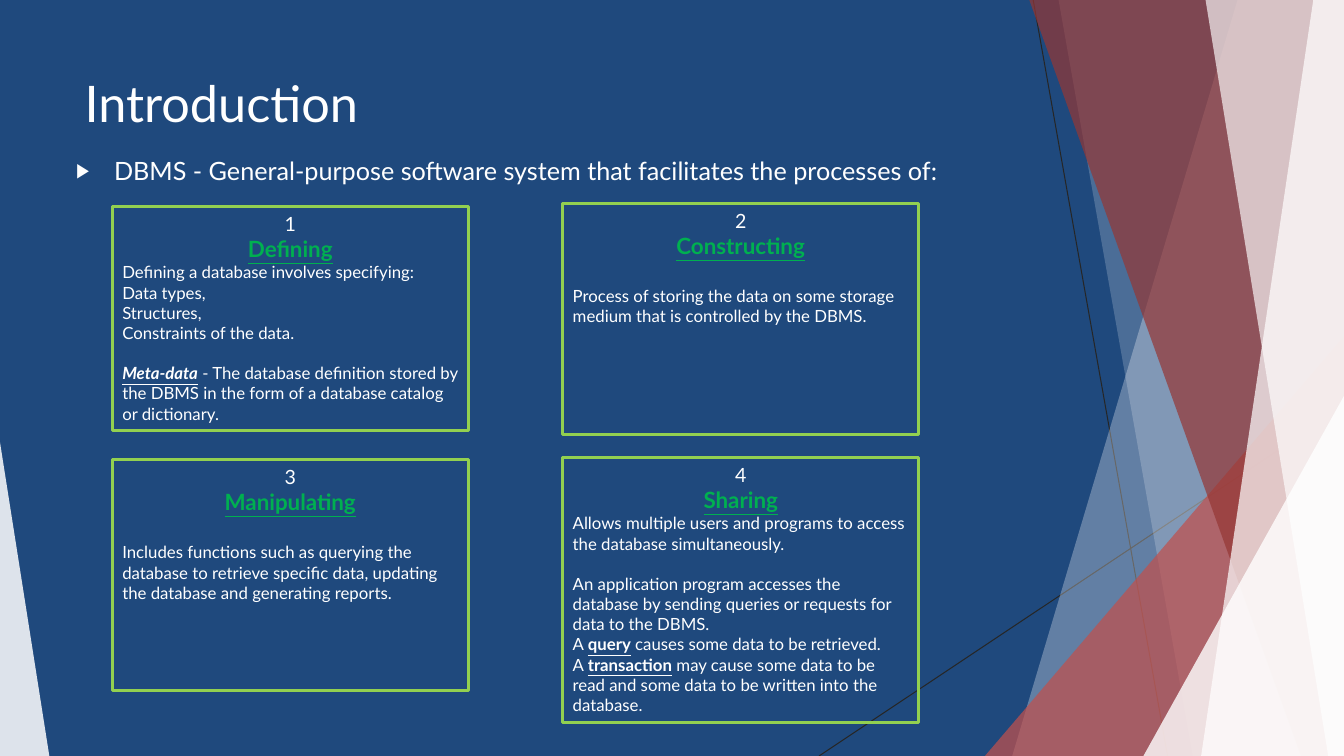
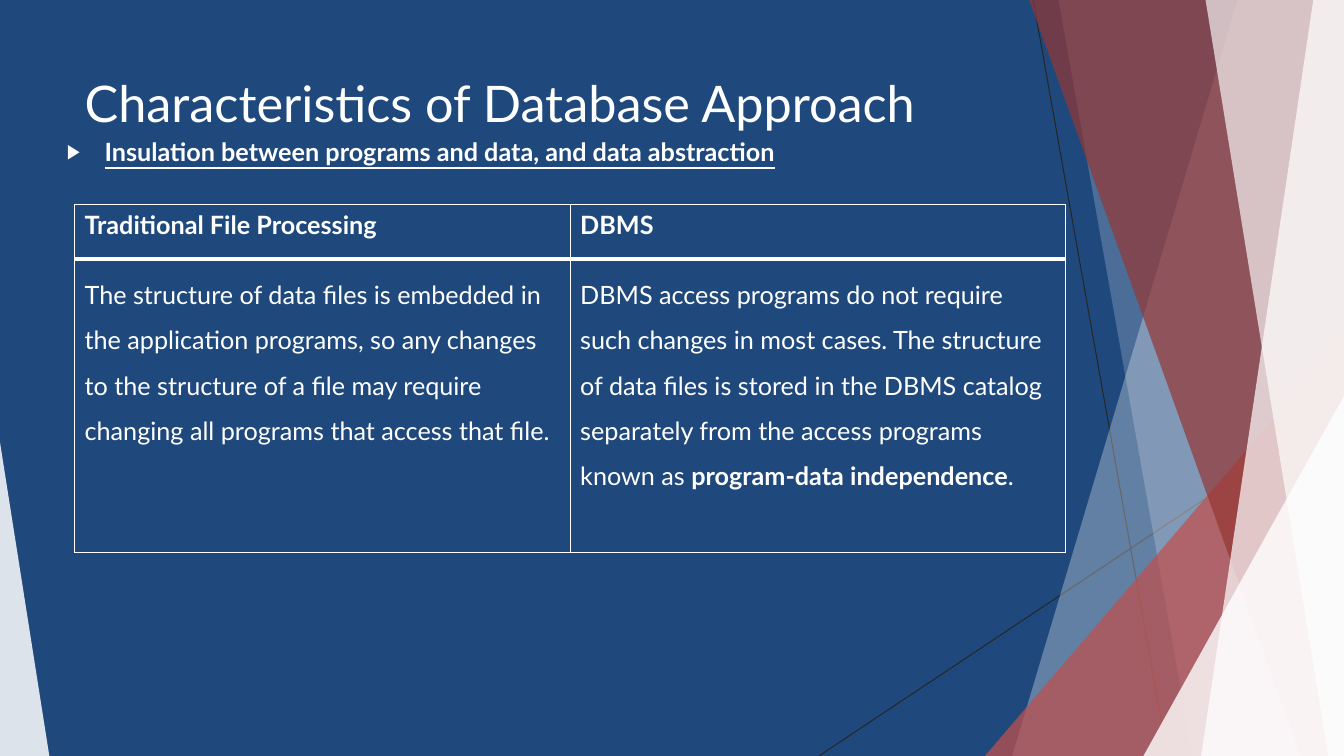
"""Builds two slides on database systems over a shared faceted background."""
import pptx
import pptx.dml.color
import pptx.enum.shapes
import pptx.enum.text
import pptx.oxml
import pptx.oxml.ns
import pptx.util

RGBColor = pptx.dml.color.RGBColor
NAVY = RGBColor(0x1F, 0x49, 0x7D)
WHITE = RGBColor(0xFF, 0xFF, 0xFF)
CHARCOAL = RGBColor(0x26, 0x26, 0x26)
RED = RGBColor(0xC0, 0x50, 0x4D)
MAROON = RGBColor(0x95, 0x37, 0x35)
LIME = RGBColor(0x92, 0xD0, 0x50)
GREEN = RGBColor(0x00, 0xB0, 0x50)

FONT = "Lato"
PX = 9525
WIDTH, HEIGHT = 1280, 720

RAYS = [(984, 0, 1112, 720), (1280, 387, 780, 720)]
FACETS = [
    ("band", (1179, 964), WHITE, 30),
    ("band", (1008, 1136), WHITE, 20),
    ("triangle", (938, 320, 342, 400, 1), RED, 72),
    ("band", (980, 1239), MAROON, 70),
    ("band", (1251, 1144), WHITE, 70),
    ("band", (1148, 1265), WHITE, 65),
    ("triangle", (1089, 377, 191, 343, 1), WHITE, 80),
    ("triangle", (0, 421, 47, 299, 0), WHITE, 85),
]

PROCESSES = [
    ((107, 197, 339, 213), "Defining", [
        ("Defining a database involves specifying:", 0),
        ("Data types,", 0),
        ("Structures,", 0),
        ("Constraints of the data.", 0),
        ([("Meta-data", "biu"),
          (" - The database definition stored by the DBMS in the form of "
           "a database catalog or dictionary.", "")], 14.4),
    ]),
    ((536, 194, 339, 220), "Constructing", [
        ("Process of storing the data on some storage medium that is "
         "controlled by the DBMS.", 19.2),
    ]),
    ((107, 438, 339, 220), "Manipulating", [
        ("Includes functions such as querying the database to retrieve "
         "specific data, updating the database and generating reports.", 19.2),
    ]),
    ((536, 436, 339, 252), "Sharing", [
        ("Allows multiple users and programs to access the database "
         "simultaneously.", 0),
        ("An application program accesses the database by sending queries "
         "or requests for data to the DBMS.", 14.4),
        ([("A ", ""), ("query", "bu"),
          (" causes some data to be retrieved.", "")], 0),
        ([("A ", ""), ("transaction", "bu"),
          (" may cause some data to be read and some data to be written "
           "into the database.", "")], 0),
    ]),
]

COMPARISON = [
    ["Traditional File Processing", "DBMS"],
    ["The structure of data files is embedded in the application programs, "
     "so any changes to the structure of a file may require changing all "
     "programs that access that file.",
     [("DBMS access programs do not require such changes in most cases. "
       "The structure of data files is stored in the DBMS catalog "
       "separately from the access programs known as ", ""),
      ("program-data independence", "b"), (".", "")]],
]


def emu(*lengths):
    return [pptx.util.Emu(n * PX) for n in lengths]


def add_xml(parent, xml):
    ns = pptx.oxml.ns.nsdecls("a")
    parent.append(pptx.oxml.parse_xml(xml.replace("/>", f" {ns}/>", 1)
                                      if xml.endswith("/>") and xml.count("<") == 1
                                      else xml.replace(">", f" {ns}>", 1)))


class Deck:
    def __init__(self):
        self.prs = pptx.Presentation()
        self.prs.slide_width, self.prs.slide_height = emu(WIDTH, HEIGHT)
        fill = self.prs.slide_master.background.fill
        fill.solid()
        fill.fore_color.rgb = NAVY
        self.s = None

    def slide(self, title):
        self.s = self.prs.slides.add_slide(self.prs.slide_layouts[1])
        self.backdrop()
        tf = self.placeholder(0, (71, 64, 902, 138))
        self.text(tf.paragraphs[0], title, 36)

    def backdrop(self):
        grp = self.s.shapes.add_group_shape()
        for ray in RAYS:
            line = grp.shapes.add_connector(
                pptx.enum.shapes.MSO_CONNECTOR.STRAIGHT, *emu(*ray))
            line.line.color.rgb = CHARCOAL
            line.line.width = pptx.util.Pt(0.75)
            add_xml(line.element.spPr, "<a:effectLst/>")
        for kind, geometry, color, opacity in FACETS:
            if kind == "band":
                sp = self.band(grp, *geometry)
            else:
                sp = self.triangle(grp, *geometry)
            sp.shadow.inherit = False
            sp.fill.solid()
            sp.fill.fore_color.rgb = color
            clr = sp.element.spPr.find(".//" + pptx.oxml.ns.qn("a:srgbClr"))
            add_xml(clr, f'<a:alpha val="{opacity * 1000}"/>')
            sp.line.fill.background()
        self.s.shapes.element.insert(2, grp.element)

    def band(self, grp, top_x, bottom_x):
        outline = grp.shapes.build_freeform(top_x, -1, scale=PX)
        outline.add_line_segments(
            [(WIDTH, -1), (WIDTH, HEIGHT), (bottom_x, HEIGHT)], close=True)
        return outline.convert_to_shape()

    def triangle(self, grp, x, y, w, h, apex):
        sp = grp.shapes.add_shape(
            pptx.enum.shapes.MSO_SHAPE.ISOSCELES_TRIANGLE, *emu(x, y, w, h))
        sp.adjustments[0] = apex
        return sp

    def placeholder(self, idx, box):
        sp = self.s.placeholders[idx]
        sp.left, sp.top, sp.width, sp.height = emu(*box)
        return self.frame(sp)

    def frame(self, sp):
        tf = sp.text_frame
        tf.word_wrap = True
        tf.auto_size = pptx.enum.text.MSO_AUTO_SIZE.NONE
        tf.vertical_anchor = pptx.enum.text.MSO_ANCHOR.TOP
        return tf

    def text(self, p, content, size, color=WHITE, marks="", align="LEFT",
             before=0, spacing=None):
        p.alignment = getattr(pptx.enum.text.PP_ALIGN, align)
        p.space_before = pptx.util.Pt(before)
        if spacing:
            p.line_spacing = spacing
        p.font.name = FONT
        p.font.size = pptx.util.Pt(size)
        p.font.color.rgb = color
        if isinstance(content, str):
            p.add_run().text = content
            self.emphasis(p.font, marks)
            return
        for words, run_marks in content:
            r = p.add_run()
            r.text = words
            self.emphasis(r.font, run_marks)

    def emphasis(self, font, marks):
        font.bold = "b" in marks
        font.italic = "i" in marks
        font.underline = "u" in marks

    def bullet(self, content, box, marks=""):
        p = self.placeholder(1, box).paragraphs[0]
        pPr = p._p.get_or_add_pPr()
        indent = 36 * PX
        pPr.set("marL", str(indent))
        pPr.set("indent", str(-indent))
        add_xml(pPr, f'<a:buClr><a:srgbClr val="{WHITE}"/></a:buClr>')
        add_xml(pPr, '<a:buSzPct val="80000"/>')
        add_xml(pPr, '<a:buChar char="▶"/>')
        self.text(p, content, 18, marks=marks)

    def card(self, box, number, heading, body):
        sp = self.s.shapes.add_shape(
            pptx.enum.shapes.MSO_SHAPE.RECTANGLE, *emu(*box))
        sp.shadow.inherit = False
        sp.fill.background()
        sp.line.color.rgb = LIME
        sp.line.width = pptx.util.Pt(2.25)
        tf = self.frame(sp)
        self.text(tf.paragraphs[0], str(number), 14, align="CENTER")
        self.text(tf.add_paragraph(), heading, 16, GREEN, "bu", "CENTER")
        for content, before in body:
            self.text(tf.add_paragraph(), content, 12, before=before)

    def table(self, rows, x, y, col_width, heights):
        cols = len(rows[0])
        table = self.s.shapes.add_table(
            len(rows), cols,
            *emu(x, y, col_width * cols, sum(heights))).table
        table.horz_banding = False
        for col in table.columns:
            col.width = emu(col_width)[0]
        for i, (row, height) in enumerate(zip(rows, heights)):
            table.rows[i].height = emu(height)[0]
            header = i == 0
            for j, content in enumerate(row):
                cell = table.cell(i, j)
                self.borders(cell, L=1, R=1, T=1 if header else 3,
                             B=3 if header else 1)
                cell.fill.solid()
                cell.fill.fore_color.rgb = NAVY
                self.text(cell.text_frame.paragraphs[0], content, 18,
                          marks="b" if header else "",
                          spacing=None if header else 1.5)

    def borders(self, cell, **widths):
        tcPr = cell._tc.get_or_add_tcPr()
        for side, width in widths.items():
            add_xml(tcPr, f'<a:ln{side} w="{width * 12700}"><a:solidFill>'
                          f'<a:srgbClr val="{WHITE}"/></a:solidFill></a:ln{side}>')


def main():
    deck = Deck()
    deck.slide("Introduction")
    deck.bullet("DBMS - General-purpose software system that facilitates "
                "the processes of:", (63, 143, 981, 554))
    for number, (box, heading, body) in enumerate(PROCESSES, 1):
        deck.card(box, number, heading, body)

    deck.slide("Characteristics of Database Approach")
    deck.bullet("Insulation between programs and data, and data abstraction",
                (54, 125, 1020, 433), "bu")
    deck.table(COMPARISON, 71, 195, 472, (52, 279))
    deck.prs.save("out.pptx")


if __name__ == "__main__":
    main()
